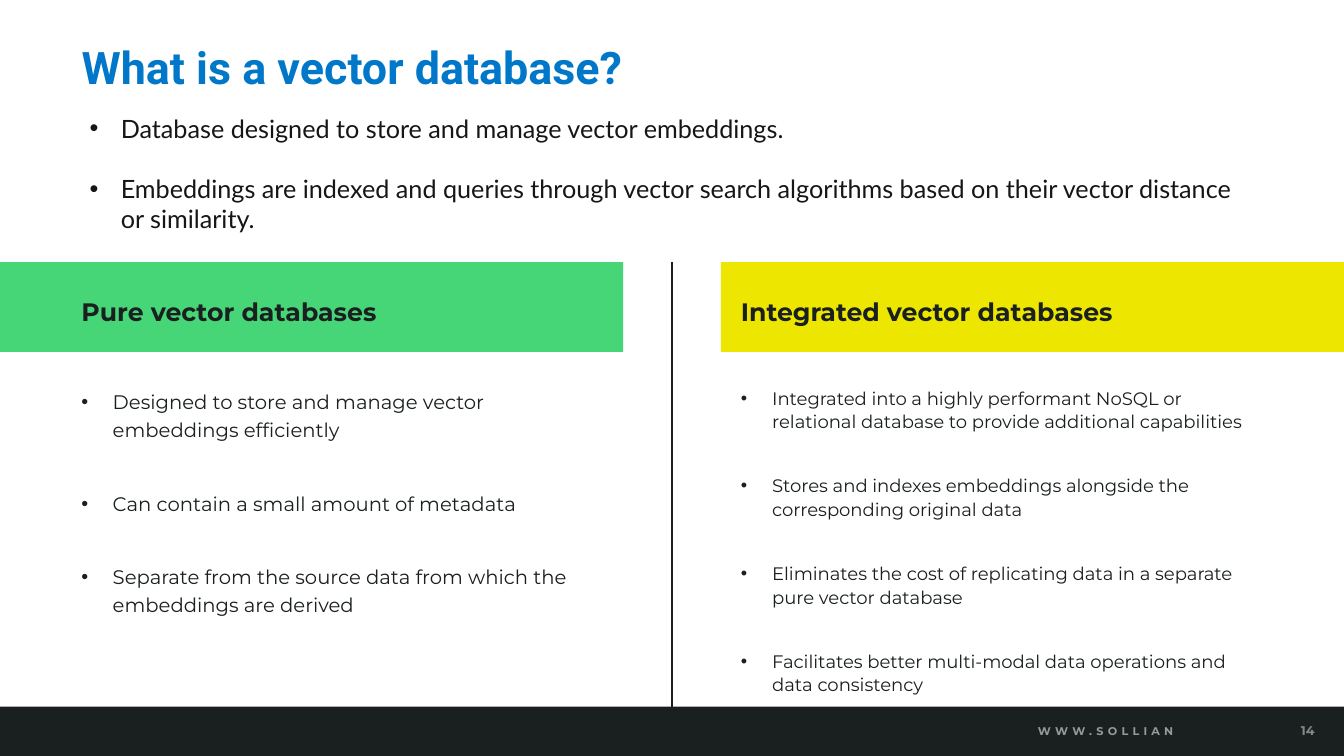
"""Build the slide comparing pure and integrated vector databases."""
import pptx
import pptx.dml.color
import pptx.enum.shapes
import pptx.enum.text
import pptx.oxml
import pptx.oxml.ns
import pptx.util
from lxml import etree

COLORS = {"ink": "1A1F20", "text": "161616", "title": "0077C8",
          "green": "46D577", "yellow": "EDE600", "footer": "D0CECE"}
ANCHOR = pptx.enum.text.MSO_ANCHOR
ALIGN = pptx.enum.text.PP_ALIGN
qn = pptx.oxml.ns.qn
inch = pptx.util.Inches

prs = pptx.Presentation()
prs.slide_width, prs.slide_height = inch(13.33), inch(7.5)
W, H = 13.33, 7.5
MARGIN, COL_W, BAND_W = 0.71, 5.37, 6.18
RIGHT = 7.25
BAND_Y, BAND_H, LIST_Y = 2.6, 0.89, 3.77
FOOT_Y = 7.01
s = prs.slides.add_slide(prs.slide_layouts[5])


def add_run(p, text, font, size, color, bold=False):
    r = p.add_run()
    r.text = text
    r.font.name, r.font.size, r.font.bold = font, pptx.util.Pt(size), bold
    r.font.color.rgb = pptx.dml.color.RGBColor.from_string(COLORS[color])
    return r


def add_box(x, y, w, h, anchor=ANCHOR.MIDDLE):
    tf = s.shapes.add_textbox(inch(x), inch(y), inch(w), inch(h)).text_frame
    tf.word_wrap, tf.vertical_anchor = True, anchor
    return tf


bars = [(0, FOOT_Y, W, H - FOOT_Y, "ink"),
        (W - BAND_W, BAND_Y, BAND_W, BAND_H, "yellow"),
        (0, BAND_Y, BAND_W, BAND_H, "green")]
for x, y, w, h, color in bars:
    sp = s.shapes.add_shape(pptx.enum.shapes.MSO_SHAPE.RECTANGLE,
                            inch(x), inch(y), inch(w), inch(h))
    sp.shadow.inherit = False
    sp.fill.solid()
    sp.fill.fore_color.rgb = pptx.dml.color.RGBColor.from_string(COLORS[color])
    sp.line.fill.background()

divider = s.shapes.add_connector(pptx.enum.shapes.MSO_CONNECTOR.STRAIGHT,
                                 inch(W / 2), inch(BAND_Y), inch(W / 2), inch(7.09))
divider.line.color.rgb = pptx.dml.color.RGBColor.from_string(COLORS["ink"])
divider.line.width = pptx.util.Pt(1)
etree.SubElement(divider._element.spPr, qn("a:effectLst"))

title = s.shapes.title
title.left, title.top, title.width, title.height = (
    inch(MARGIN), inch(0.38), inch(12.29), inch(0.62))
tf = title.text_frame
tf.word_wrap, tf.vertical_anchor = True, ANCHOR.MIDDLE
p = tf.paragraphs[0]
p.alignment, p.line_spacing = ALIGN.LEFT, 0.9
add_run(p, "What is a vector database?", "Roboto", 32, "title", True)

for x, heading in [(MARGIN, "Pure vector databases"),
                   (RIGHT, "Integrated vector databases")]:
    p = add_box(x, BAND_Y, COL_W, 0.92).paragraphs[0]
    p.line_spacing = 1.2
    add_run(p, heading, "Montserrat", 18, "ink", True)

lists = [
    ((0.79, 1.07, 11.76, 2.22), "Lato", 18, "text", 1.0, 21.6, [
        "Database designed to store and manage vector embeddings.",
        "Embeddings are indexed and queries through vector search algorithms "
        "based on their vector distance or similarity."]),
    ((MARGIN, LIST_Y, COL_W, 3.32), "Montserrat", 14, "ink", 1.2, 32.4, [
        "Designed to store and manage vector embeddings efficiently",
        "Can contain a small amount of metadata",
        "Separate from the source data from which the embeddings are derived"]),
    ((RIGHT, LIST_Y, COL_W, 3.32), "Montserrat", 12.9, "ink", 1.1, 28.6, [
        "Integrated into a highly performant NoSQL or relational database "
        "to provide additional capabilities",
        "Stores and indexes embeddings alongside the corresponding original data",
        "Eliminates the cost of replicating data in a separate pure vector database",
        "Facilitates better multi-modal data operations and data consistency"]),
]
for place, font, size, color, spacing, gap, items in lists:
    tf = add_box(*place, anchor=ANCHOR.TOP)
    for i, item in enumerate(items):
        p = tf.add_paragraph() if i else tf.paragraphs[0]
        p.line_spacing = spacing
        p.space_before = pptx.util.Pt(gap if i else 0)
        pPr = p._p.get_or_add_pPr()
        pPr.set("marL", str(inch(0.31)))
        pPr.set("indent", str(-inch(0.31)))
        etree.SubElement(pPr, qn("a:buFont"), typeface="Arial")
        etree.SubElement(pPr, qn("a:buChar"), char="•")
        add_run(p, item, font, size, color)

footers = [(7.91, 4.5, "WWW.SOLLIANCE.NET", 8, ALIGN.RIGHT, 70, 3),
           (12.73, 0.48, "14", 9, ALIGN.CENTER, 60, 0)]
for x, w, text, size, align, alpha, tracking in footers:
    p = add_box(x, 7.07, w, 0.36).paragraphs[0]
    p.alignment = align
    r = add_run(p, text, "Montserrat", size, "footer", True)
    rPr = r._r.get_or_add_rPr()
    rPr.set("spc", str(tracking * 100))
    etree.SubElement(rPr.find(".//" + qn("a:srgbClr")), qn("a:alpha"),
                     val=str(alpha * 1000))

prs.save("out.pptx")
